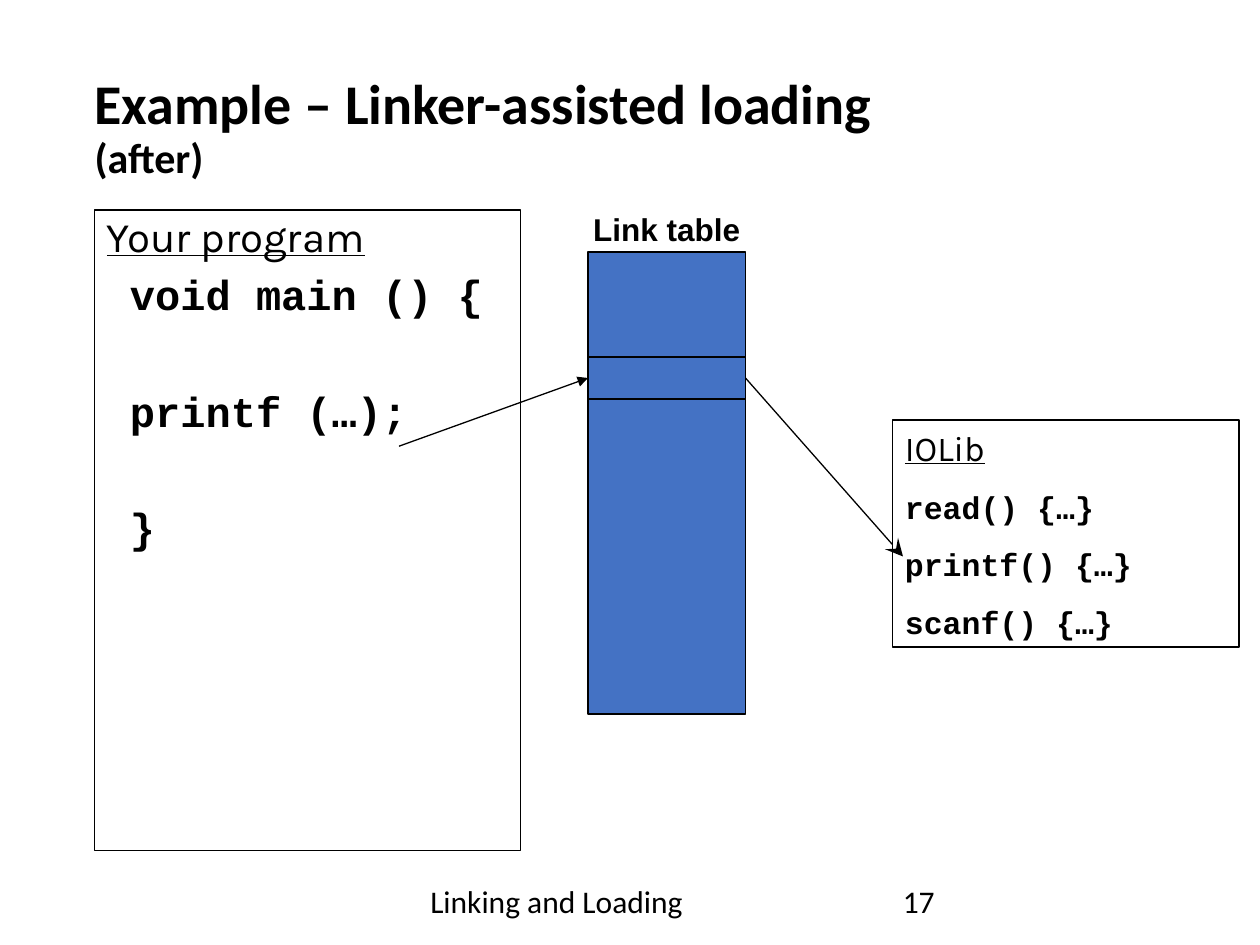
import pptx
import pptx.util
import pptx.dml.color
import pptx.enum.shapes
import pptx.enum.text
import pptx.oxml.ns
import lxml.etree

PX = 7620
BLACK = "000000"
BLUE = "4472C4"


def color(value):
    return pptx.dml.color.RGBColor.from_string(value)


def add_text(paragraph, text, size, font, bold=False, underline=False):
    run = paragraph.add_run()
    run.text = text
    run.font.size = pptx.util.Pt(size)
    run.font.name = font
    run.font.bold = bold
    run.font.underline = underline
    run.font.color.rgb = color(BLACK)


presentation = pptx.Presentation()
presentation.slide_width = 1200 * PX
presentation.slide_height = 900 * PX
slide = presentation.slides.add_slide(presentation.slide_layouts[5])

title = slide.shapes.title
title.left, title.top, title.width, title.height = 78 * PX, 36 * PX, 1036 * PX, 174 * PX
title.text_frame.vertical_anchor = pptx.enum.text.MSO_ANCHOR.MIDDLE
paragraph = title.text_frame.paragraphs[0]
paragraph.alignment = pptx.enum.text.PP_ALIGN.LEFT
paragraph.line_spacing = 0.9
add_text(paragraph, "Example – Linker-assisted loading", 32, "Calibri", bold=True)
paragraph.add_line_break()
add_text(paragraph, "(after)", 24, "Calibri", bold=True)

boxes = {}
for name, left, top, width, height, fill, line_width in [
    ("Your program", 90, 200, 406, 610, None, 0.75),
    ("Link table", 560, 240, 150, 440, BLUE, 0.75),
    ("Link table entry", 560, 340, 150, 40, BLUE, 0.75),
    ("IOLib", 850, 400, 330, 216, None, 1),
]:
    shape = slide.shapes.add_shape(
        pptx.enum.shapes.MSO_SHAPE.RECTANGLE, left * PX, top * PX, width * PX, height * PX
    )
    shape.shadow.inherit = False
    if fill:
        shape.fill.solid()
        shape.fill.fore_color.rgb = color(fill)
    else:
        shape.fill.background()
    shape.line.color.rgb = color(BLACK)
    shape.line.width = pptx.util.Pt(line_width)
    shape.text_frame.vertical_anchor = pptx.enum.text.MSO_ANCHOR.TOP
    boxes[name] = shape

for name, heading_size, code_size, heading_space, line_spacing, indent, code in [
    ("Your program", 24, 24, 7.5, 0.9, 22,
     [("void main () {", 7.5), ("printf (…);", 40.5), ("}", 40.5)]),
    ("IOLib", 20, 18, 12.5, 1.0, 0,
     [("read() {…}", 11.25), ("printf() {…}", 11.25), ("scanf() {…}", 11.25)]),
]:
    text_frame = boxes[name].text_frame
    paragraph = text_frame.paragraphs[0]
    paragraph.space_before = pptx.util.Pt(heading_space)
    add_text(paragraph, name, heading_size, "Karla", underline=True)
    for text, space_before in code:
        paragraph = text_frame.add_paragraph()
        paragraph.space_before = pptx.util.Pt(space_before)
        paragraph._p.get_or_add_pPr().set("marL", str(indent * PX))
        add_text(paragraph, text, code_size, "Courier New", bold=True)
    for paragraph in text_frame.paragraphs:
        paragraph.alignment = pptx.enum.text.PP_ALIGN.LEFT
        paragraph.line_spacing = line_spacing

for text, left, top, width, height, font, bold in [
    ("Linking and Loading", 398, 834, 404, 48, "Calibri", False),
    ("17", 848, 834, 270, 48, "Calibri", False),
    ("Link table", 560, 200, 150, 40, "Arial", True),
]:
    label = slide.shapes.add_textbox(left * PX, top * PX, width * PX, height * PX)
    text_frame = label.text_frame
    text_frame.word_wrap = True
    text_frame.vertical_anchor = pptx.enum.text.MSO_ANCHOR.MIDDLE
    paragraph = text_frame.paragraphs[0]
    if bold:
        text_frame.margin_left = text_frame.margin_right = text_frame.margin_top = 0
        text_frame.margin_bottom = 4 * PX
        paragraph.alignment = pptx.enum.text.PP_ALIGN.CENTER
    add_text(paragraph, text, 18, font, bold=bold)

entry = boxes["Link table entry"]
call_to_entry = slide.shapes.add_connector(
    pptx.enum.shapes.MSO_CONNECTOR.STRAIGHT, 380 * PX, 425 * PX, 560 * PX, 360 * PX
)
call_to_entry.end_connect(entry, 1)
entry_to_library = slide.shapes.add_connector(
    pptx.enum.shapes.MSO_CONNECTOR.STRAIGHT, 710 * PX, 360 * PX, 860 * PX, 530 * PX
)
entry_to_library.begin_connect(entry, 3)

for connector, arrowhead in [(call_to_entry, "triangle"), (entry_to_library, "stealth")]:
    connector.line.color.rgb = color(BLACK)
    connector.line.width = pptx.util.Pt(0.75)
    tail = lxml.etree.SubElement(connector.line._get_or_add_ln(), pptx.oxml.ns.qn("a:tailEnd"))
    tail.set("type", arrowhead)
    if arrowhead == "stealth":
        tail.set("w", "lg")
        tail.set("len", "lg")
    lxml.etree.SubElement(connector._element.spPr, pptx.oxml.ns.qn("a:effectLst"))

presentation.save("out.pptx")
